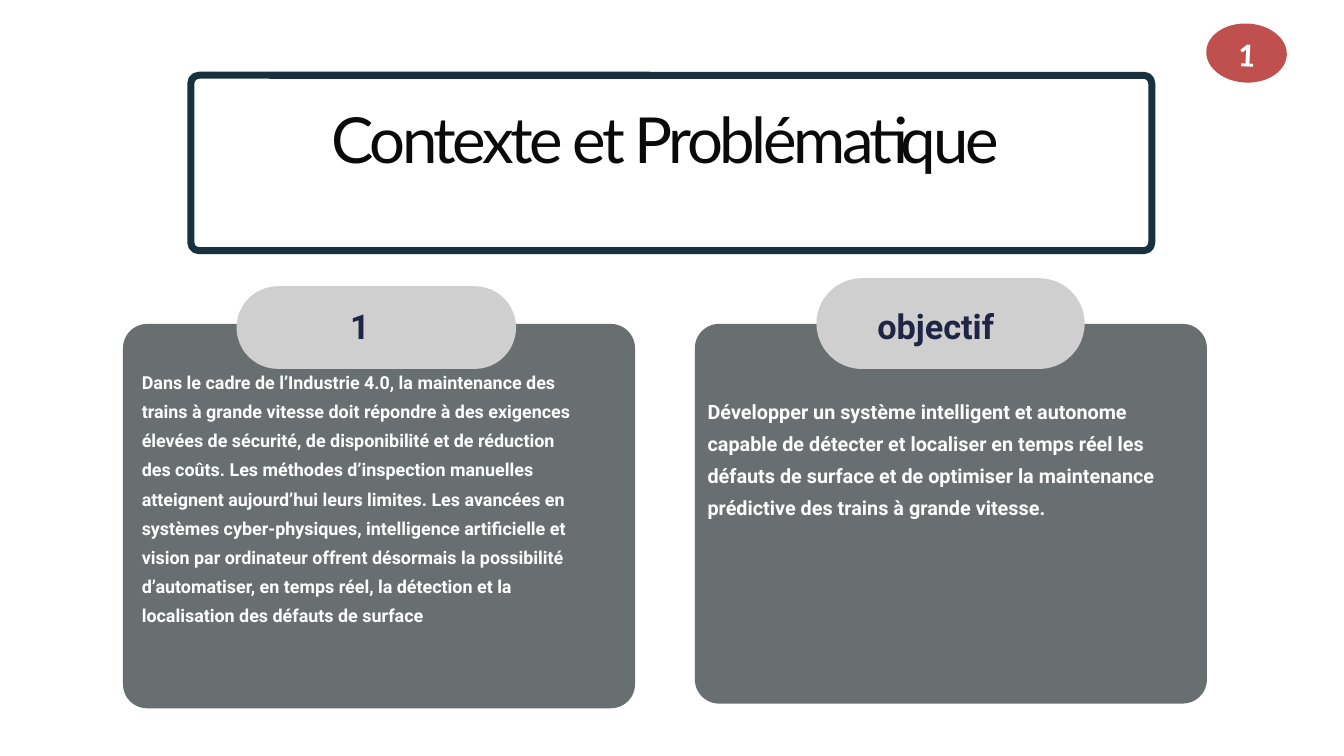
from pptx import Presentation
from pptx.dml.color import RGBColor
from pptx.enum.shapes import MSO_SHAPE
from pptx.enum.text import MSO_ANCHOR, MSO_AUTO_SIZE, PP_ALIGN
from pptx.util import Inches, Pt

ROUND = MSO_SHAPE.ROUNDED_RECTANGLE
OVAL = MSO_SHAPE.OVAL
GROW = MSO_AUTO_SIZE.SHAPE_TO_FIT_TEXT
TOP = MSO_ANCHOR.TOP
MIDDLE = MSO_ANCHOR.MIDDLE
LEFT = PP_ALIGN.LEFT
CENTER = PP_ALIGN.CENTER

WHITE = RGBColor(0xFF, 0xFF, 0xFF)
BLACK = RGBColor(0x0B, 0x0A, 0x0A)
NAVY = RGBColor(0x1F, 0x25, 0x44)
TEAL = RGBColor(0x17, 0x31, 0x3E)
SLATE = RGBColor(0x69, 0x6F, 0x70)
SILVER = RGBColor(0xCF, 0xCF, 0xCF)
RED = RGBColor(0xC0, 0x50, 0x4D)

CONTEXT = (
    "Dans le cadre de l’Industrie 4.0, la maintenance des trains à grande "
    "vitesse doit répondre à des exigences élevées de sécurité, de "
    "disponibilité et de réduction des coûts. Les méthodes d’inspection "
    "manuelles atteignent aujourd’hui leurs limites. Les avancées en systèmes "
    "cyber-physiques, intelligence artificielle et vision par ordinateur "
    "offrent désormais la possibilité d’automatiser, en temps réel, la "
    "détection et la localisation des défauts de surface"
)
GOAL = (
    "Développer un système intelligent et autonome capable de détecter et "
    "localiser en temps réel les défauts de surface et de optimiser la "
    "maintenance prédictive des trains à grande vitesse."
)

CARDS = [
    {
        "box": (1.83, 4.82, 7.62, 5.72),
        "pill": (3.52, 4.26, 4.16, 1.23),
        "head": ("1", (1.96, 4.44, 6.79, 0.68)),
        "body": (CONTEXT, (2.11, 5.41, 6.48, 4.75), 19.2, 31.3),
    },
    {
        "box": (10.34, 4.82, 7.62, 5.65),
        "pill": (12.15, 4.14, 3.99, 1.35),
        "head": ("objectif", (10.53, 4.44, 6.79, 0.69)),
        "body": (GOAL, (10.53, 5.82, 7.24, 2.35), 21.2, 34.5),
    },
]


def apply(item, values):
    for name, value in values.items():
        setattr(item, name, value)


def add_panel(slide, kind, box, fill=None, radius=None):
    panel = slide.shapes.add_shape(kind, *map(Inches, box))
    panel.shadow.inherit = False
    panel.line.fill.background()
    if fill is None:
        panel.fill.background()
    else:
        panel.fill.solid()
        panel.fill.fore_color.rgb = fill
    if radius is not None:
        panel.adjustments[0] = radius / min(box[2:])
    return panel


def write(frame, text, size, face, color, align, lead=None, bold=True):
    line = frame.paragraphs[0]
    apply(line, {"alignment": align, "line_spacing": Pt(lead) if lead else None})
    run = line.add_run()
    run.text = text
    apply(run.font, {"size": Pt(size), "name": face, "bold": bold})
    run.font.color.rgb = color
    return run


def add_label(slide, box, text, size, face, color, align, lead, bold=True):
    frame = slide.shapes.add_textbox(*map(Inches, box)).text_frame
    apply(frame, {
        "margin_left": 0, "margin_top": 0, "margin_right": 0, "margin_bottom": 0,
        "word_wrap": True, "auto_size": GROW, "vertical_anchor": TOP,
    })
    return write(frame, text, size, face, color, align, lead, bold)


def add_title(slide, box):
    left, top, width, height = box
    border = add_panel(slide, ROUND, box, radius=0.12)
    border.line.color.rgb = TEAL
    border.line.width = Pt(7.5)
    place = (left + 0.28, top + 0.56, width - 0.75, 1.17)
    run = add_label(slide, place, "Contexte et Problématique", 68, "Lato",
                    BLACK, CENTER, 68, False)
    run.font._element.set("spc", "-370")


def add_card(slide, box, pill, head, body):
    add_panel(slide, ROUND, box, SLATE, 0.36)
    add_panel(slide, ROUND, pill, SILVER, pill[3] / 2)
    text, place, size, lead = body
    add_label(slide, place, text, size, "Roboto", WHITE, LEFT, lead)
    text, place = head
    add_label(slide, place, text, 36.7, "Roboto", NAVY, CENTER, 51.3)


def add_badge(slide, box):
    badge = add_panel(slide, OVAL, box, RED)
    badge.rotation = 2.7
    badge.text_frame.vertical_anchor = MIDDLE
    write(badge.text_frame, "1", 36, "Calibri", WHITE, CENTER)


def main():
    deck = Presentation()
    apply(deck, {"slide_width": Inches(20), "slide_height": Inches(11.25)})
    slide = deck.slides.add_slide(deck.slide_layouts[6])
    add_title(slide, (2.84, 1.12, 14.3, 2.61))
    for card in CARDS:
        add_card(slide, **card)
    add_badge(slide, (17.95, 0.35, 1.2, 0.88))
    deck.save("out.pptx")


if __name__ == "__main__":
    main()
